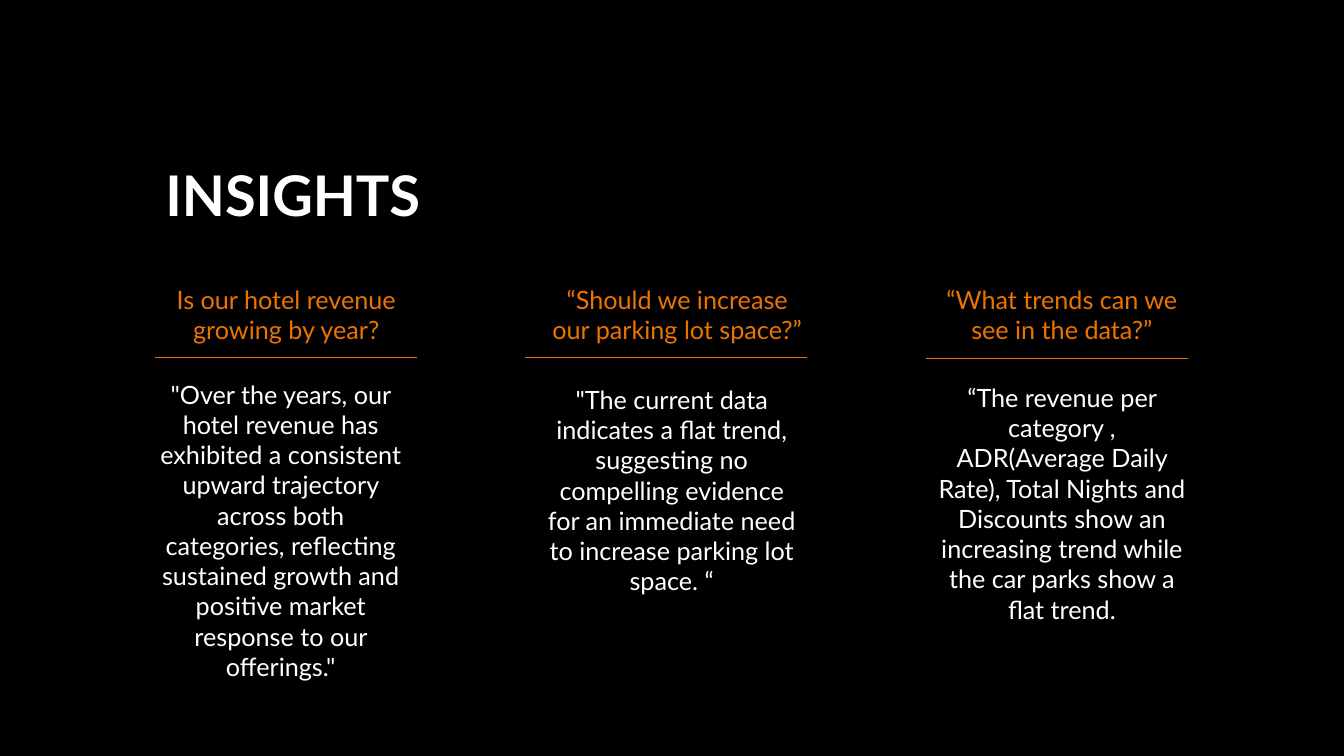
from dataclasses import dataclass

from lxml import etree
from pptx import Presentation
from pptx.dml.color import RGBColor
from pptx.enum import shapes, text
from pptx.oxml import ns
from pptx.util import Pt


@dataclass(frozen=True)
class Theme:
    font: str = "Lato"
    back: RGBColor = RGBColor(0, 0, 0)
    plain: RGBColor = RGBColor(255, 255, 255)
    accent: RGBColor = RGBColor(0xEB, 0x74, 0)
    title: int = 40
    body: int = 18
    rule: float = 0.75


THEME = Theme()
HEAD_TOP, HEAD_HIGH = 195.8, 54

# Each column: head (text, left, width), rule (left, width, top),
# answer (text, left, top, height)
COLUMNS = [
    (("Is our hotel revenue growing by year?", 110.9, 187.2),
     (110.9, 187.2, 255.6),
     ('"Over the years, our hotel revenue has exhibited a consistent upward '
      "trajectory across both categories, reflecting sustained growth and "
      'positive market response to our offerings."', 103.7, 270, 220.3)),
    (("“Should we increase our parking lot space?”", 383, 201.6),
     (375.1, 201.6, 255.6),
     ('"The current data indicates a flat trend, suggesting no compelling '
      "evidence for an immediate need to increase parking lot space. “",
      383, 270, 159.1)),
    (("“What trends can we see in the data?”", 661.7, 193.7),
     (661.7, 187.2, 256.3),
     ("“The revenue per category , ADR(Average Daily Rate), Total Nights and "
      "Discounts show an increasing trend while the car parks show a flat "
      "trend.", 661.7, 263.5, 185.8)),
]
ANSWER_WIDE = 193.7


def fill_text(shape, words, size, color, anchor, align, bold=False):
    frame = shape.text_frame
    frame.text = words
    frame.word_wrap = True
    frame.auto_size = text.MSO_AUTO_SIZE.NONE
    frame.vertical_anchor = anchor
    para = frame.paragraphs[0]
    para.alignment = align
    font = para.runs[0].font
    font.name, font.size, font.bold = THEME.font, Pt(size), bold
    font.color.rgb = color
    return para


def add_title(slide, words):
    title = slide.shapes.title
    title.left, title.top = Pt(110.9), Pt(103.7)
    title.width, title.height = Pt(313.9), Pt(76.3)
    para = fill_text(title, words, THEME.title, THEME.plain,
                     text.MSO_ANCHOR.MIDDLE, text.PP_ALIGN.LEFT, bold=True)
    para.line_spacing = 0.9


def add_text(slide, words, color, left, top, wide, high):
    box = slide.shapes.add_textbox(Pt(left), Pt(top), Pt(wide), Pt(high))
    fill_text(box, words, THEME.body, color,
              text.MSO_ANCHOR.BOTTOM, text.PP_ALIGN.CENTER)


def add_rule(slide, left, wide, top):
    rule = slide.shapes.add_connector(
        shapes.MSO_CONNECTOR.STRAIGHT,
        Pt(left), Pt(top), Pt(left + wide), Pt(top))
    rule.line.color.rgb = THEME.accent
    rule.line.width = Pt(THEME.rule)
    etree.SubElement(rule._element.spPr, ns.qn("a:effectLst"))


def main():
    deck = Presentation()
    deck.slide_width, deck.slide_height = Pt(960), Pt(540)
    slide = deck.slides.add_slide(deck.slide_layouts[5])
    slide.background.fill.solid()
    slide.background.fill.fore_color.rgb = THEME.back

    add_title(slide, "INSIGHTS")
    for head, rule, answer in COLUMNS:
        words, left, wide = head
        add_text(slide, words, THEME.accent, left, HEAD_TOP, wide, HEAD_HIGH)
        add_rule(slide, *rule)
        words, left, top, high = answer
        add_text(slide, words, THEME.plain, left, top, ANSWER_WIDE, high)
    deck.save("out.pptx")


if __name__ == "__main__":
    main()
